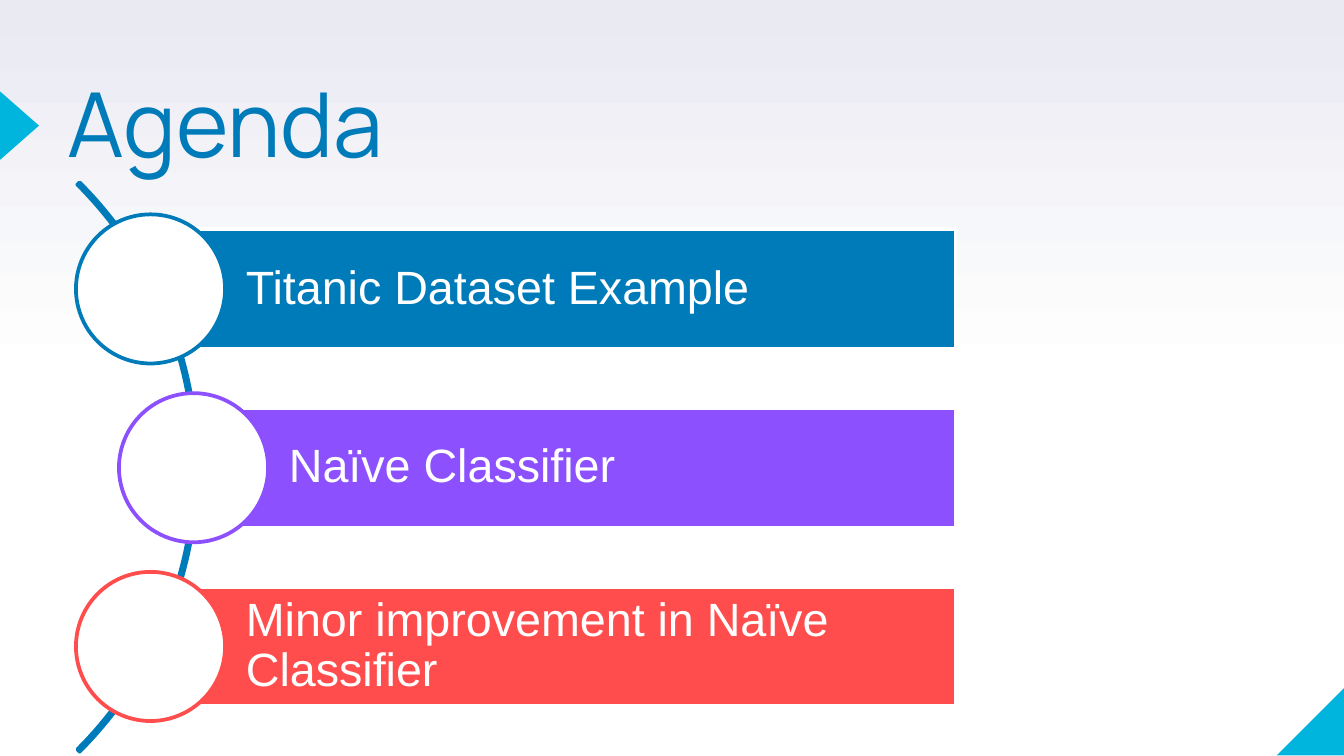
"""Build an agenda slide with three topics along an arc."""
from copy import deepcopy

from pptx import Presentation
from pptx import util as u
from pptx.dml.color import RGBColor
from pptx.enum import shapes, text
from pptx.oxml.ns import qn

BLUE, CYAN, WHITE = "007BB9", "00B5DD", "FFFFFF"
TITLE = "Agenda"
TOPICS = [
    ("Titanic Dataset Example", BLUE, 1.12),
    ("Naïve Classifier", "8C50FF", 1.44),
    ("Minor improvement in Naïve Classifier", "FF4D4D", 1.12),
]
BACKGROUND = [(0, WHITE), (0.5, WHITE), (1, "E9EAF2")]
FIRST_CENTER, PITCH = 2.15, 1.33
BAR_RIGHT, BAR_HEIGHT, CIRCLE = 7.11, 0.89, 1.11


def color(value):
    return RGBColor.from_string(value)


def add_shape(page, kind, left, top, width, height, fill=None, line=None):
    shape = page.shapes.add_shape(kind, *map(u.Inches, (left, top, width, height)))
    shape.shadow.inherit = False
    if fill:
        shape.fill.solid()
        shape.fill.fore_color.rgb = color(fill)
    else:
        shape.fill.background()
    if line:
        shape.line.color.rgb = color(line)
        shape.line.width = u.Pt(2)
    else:
        shape.line.fill.background()
    return shape


def write(shape, content, font, size, ink, spacing, anchor, margins):
    frame = shape.text_frame
    frame.word_wrap = True
    frame.auto_size = text.MSO_AUTO_SIZE.NONE
    frame.vertical_anchor = anchor
    (frame.margin_left, frame.margin_top,
     frame.margin_right, frame.margin_bottom) = map(u.Inches, margins)
    para = frame.paragraphs[0]
    para.alignment = text.PP_ALIGN.LEFT
    para.line_spacing = spacing
    span = para.add_run()
    span.text = content
    span.font.name = font
    span.font.size = u.Pt(size)
    span.font.color.rgb = color(ink)


def paint_background(page):
    fill = page.background.fill
    fill.gradient()
    fill.gradient_angle = 90
    stops = next(page.element.iter(qn("a:gsLst")))
    stops.append(deepcopy(stops[-1]))
    for stop, (position, value) in zip(fill.gradient_stops, BACKGROUND):
        stop.position = position
        stop.color.rgb = color(value)


def add_topic(page, index, label, accent, left):
    kinds = shapes.MSO_SHAPE
    center = FIRST_CENTER + index * PITCH
    bar = add_shape(page, kinds.RECTANGLE, left, center - BAR_HEIGHT / 2,
                    BAR_RIGHT - left, BAR_HEIGHT, accent, WHITE)
    write(bar, label, "Arial", 25, WHITE, 0.9, text.MSO_ANCHOR.MIDDLE,
          (0.71, 0.07, 0.07, 0.07))
    add_shape(page, kinds.OVAL, left - CIRCLE / 2, center - CIRCLE / 2,
              CIRCLE, CIRCLE, WHITE, accent)


def main():
    kinds = shapes.MSO_SHAPE
    deck = Presentation()
    deck.slide_width, deck.slide_height = u.Inches(10), u.Inches(10 * 9 / 16)
    page = deck.slides.add_slide(deck.slide_layouts[5])
    paint_background(page)

    corner = add_shape(page, kinds.RIGHT_TRIANGLE, 9.5, 5.11, 0.51, 0.51, CYAN)
    corner.element.spPr.find(qn("a:xfrm")).set("flipH", "1")
    pointer = add_shape(page, kinds.ISOSCELES_TRIANGLE, -0.11, 0.79, 0.51, 0.29, CYAN)
    pointer.rotation = 90

    title = page.shapes.title
    title.left, title.top, title.width, title.height = map(
        u.Inches, (0.5, 0.66, 6.17, 1.18))
    write(title, TITLE, "Manrope", 48, BLUE, 0.8, text.MSO_ANCHOR.TOP, (0, 0, 0, 0))

    arc = add_shape(page, kinds.BLOCK_ARC, -4.52, 0.48, 5.99, 5.99, line=BLUE)
    for index, value in enumerate((189, 27, 0.004)):
        arc.adjustments[index] = value
    for index, topic in enumerate(TOPICS):
        add_topic(page, index, *topic)
    deck.save("out.pptx")


if __name__ == "__main__":
    main()
